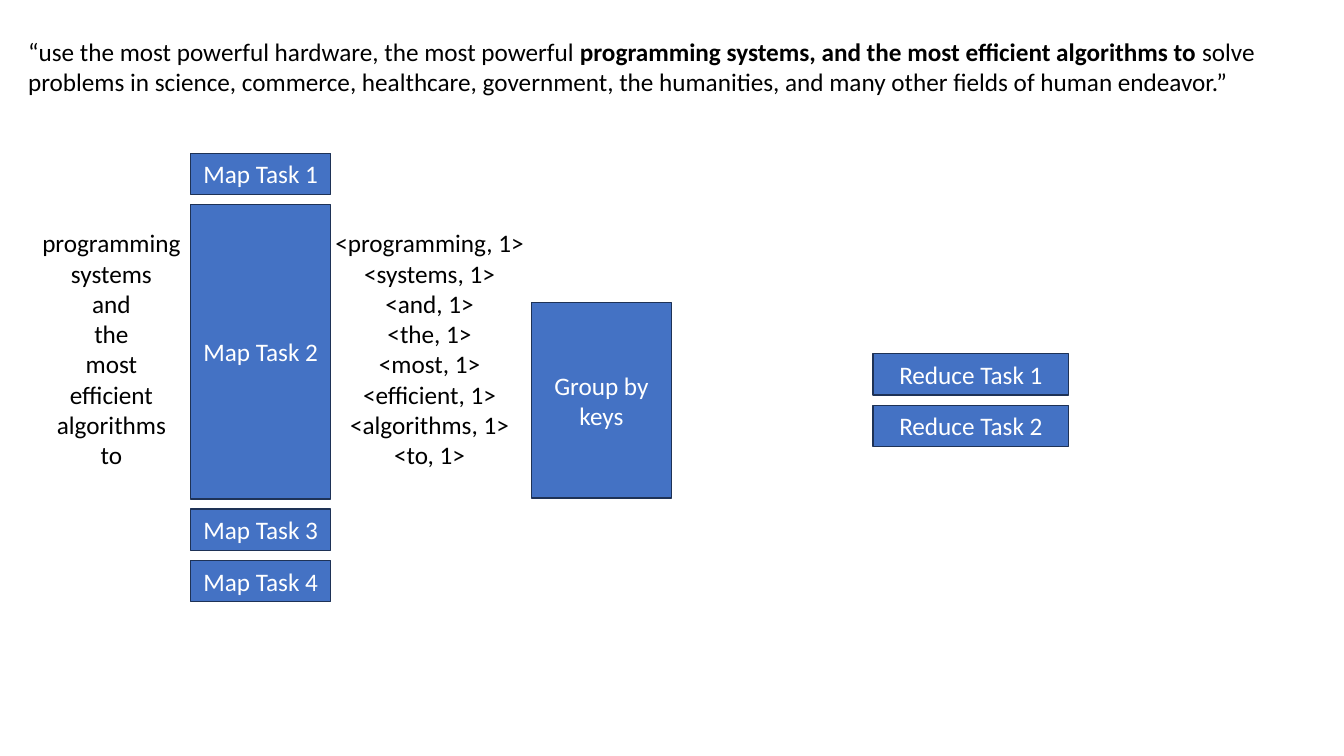
from pptx import Presentation
from pptx.dml.color import RGBColor
from pptx.enum.shapes import MSO_SHAPE
from pptx.enum.text import MSO_ANCHOR, PP_ALIGN
from pptx.util import Pt

RECTANGLE = MSO_SHAPE.RECTANGLE
MIDDLE = MSO_ANCHOR.MIDDLE
CENTER = PP_ALIGN.CENTER
LEFT = PP_ALIGN.LEFT

EMU_PER_PX = 9144  # 100 px to the inch
BLACK, WHITE, BLUE, NAVY = "000000", "FFFFFF", "4472C4", "1E3256"
TASK_HEIGHT = 41
TASK_GAP = 10

QUOTE = [
    ("“use the most powerful hardware, the most powerful ", False),
    ("programming systems, and the most efficient algorithms to ", True),
    ("solve problems in science, commerce, healthcare, government, "
     "the humanities, and many other fields of human endeavor.”", False),
]
WORDS = ["programming", "systems", "and", "the", "most", "efficient",
         "algorithms", "to"]
MAP_TASKS = [("Map Task 1", TASK_HEIGHT), ("Map Task 2", 292),
             ("Map Task 3", TASK_HEIGHT), ("Map Task 4", TASK_HEIGHT)]
REDUCE_TASKS = [("Reduce Task 1", TASK_HEIGHT), ("Reduce Task 2", TASK_HEIGHT)]


def px(length):
    return length * EMU_PER_PX


def color(hex_string):
    return RGBColor.from_string(hex_string)


def style_paragraph(paragraph, hex_string, alignment):
    paragraph.alignment = alignment
    paragraph.font.name = "Calibri"
    paragraph.font.size = Pt(18)
    paragraph.font.color.rgb = color(hex_string)


def add_text_frame(slide, box, wrap=True):
    text_frame = slide.shapes.add_textbox(*map(px, box)).text_frame
    text_frame.word_wrap = wrap
    return text_frame


def add_quote(slide, box):
    paragraph = add_text_frame(slide, box).paragraphs[0]
    style_paragraph(paragraph, BLACK, LEFT)
    for text, bold in QUOTE:
        run = paragraph.add_run()
        run.text = text
        run.font.bold = bold


def add_word_column(slide, box, words, wrap):
    text_frame = add_text_frame(slide, box, wrap)
    text_frame.text = "\n".join(words)
    for paragraph in text_frame.paragraphs:
        style_paragraph(paragraph, BLACK, CENTER)


def add_block(slide, box, label):
    shape = slide.shapes.add_shape(RECTANGLE, *map(px, box))
    shape.shadow.inherit = False
    shape.fill.solid()
    shape.fill.fore_color.rgb = color(BLUE)
    shape.line.color.rgb = color(NAVY)
    shape.line.width = Pt(1)
    text_frame = shape.text_frame
    text_frame.word_wrap = True
    text_frame.vertical_anchor = MIDDLE
    text_frame.text = label
    style_paragraph(text_frame.paragraphs[0], WHITE, CENTER)


def add_task_stack(slide, left, top, width, tasks):
    """Stack labelled blocks downwards with equal gaps."""
    for label, height in tasks:
        add_block(slide, (left, top, width, height), label)
        top += height + TASK_GAP


def build_map_reduce_slide(presentation):
    slide = presentation.slides.add_slide(presentation.slide_layouts[6])
    add_quote(slide, (18, 31, 1282, 71))
    add_task_stack(slide, 189, 152, 139, MAP_TASKS)
    add_block(slide, (527, 300, 139, 194), "Group by keys")
    add_task_stack(slide, 866, 351, 194, REDUCE_TASKS)
    add_word_column(slide, (31, 221, 159, 252), WORDS, wrap=False)
    pairs = [f"<{word}, 1>" for word in WORDS]
    add_word_column(slide, (322, 221, 208, 252), pairs, wrap=True)


def main():
    presentation = Presentation()
    presentation.slide_width = px(1333)
    presentation.slide_height = px(750)
    build_map_reduce_slide(presentation)
    presentation.save("out.pptx")


if __name__ == "__main__":
    main()
